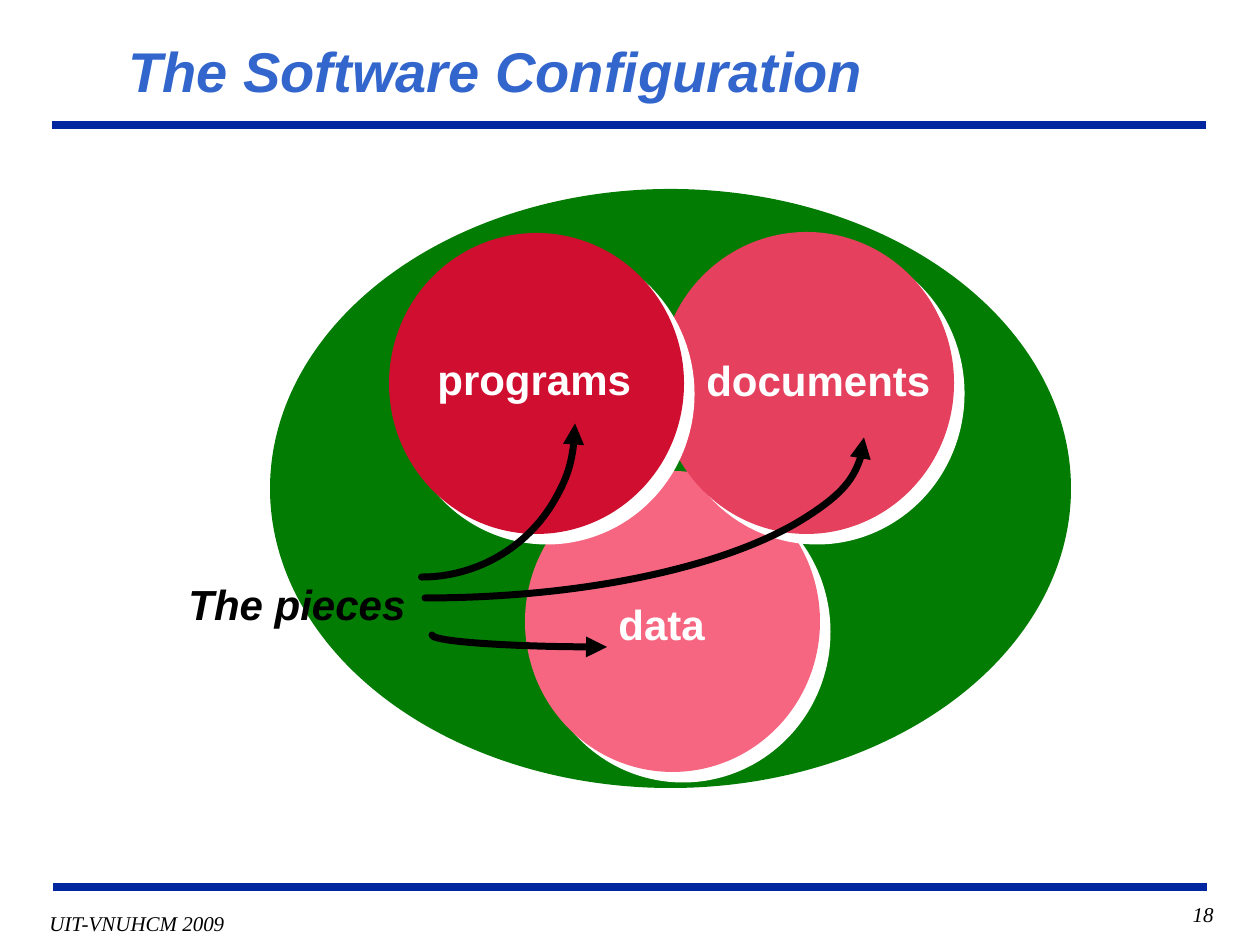
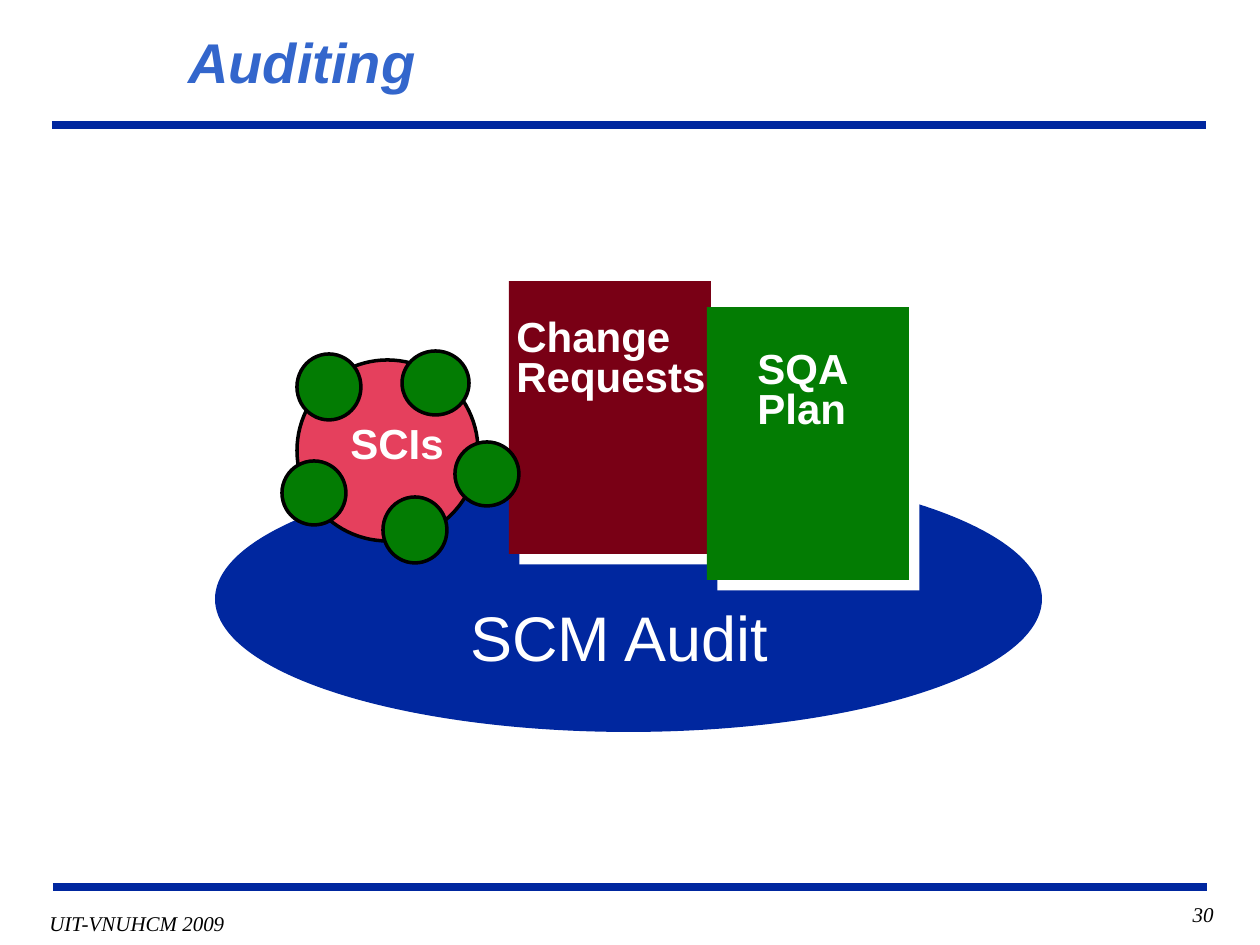
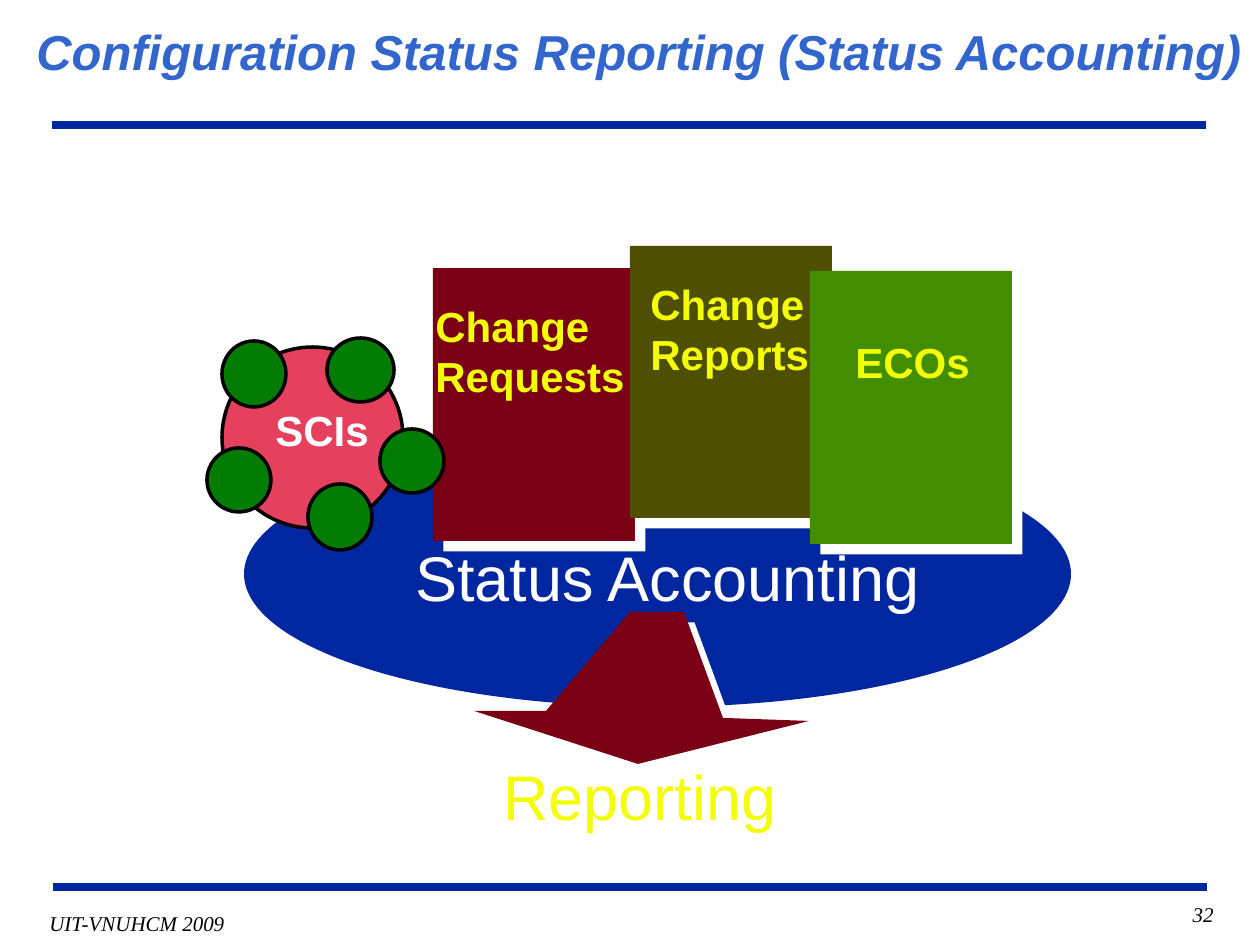
import pptx
import pptx.util
import pptx.dml.color
import pptx.enum.shapes
import pptx.enum.text
import pptx.oxml.ns
from lxml import etree

PX_PER_INCH = 126
EMU_PER_PX = 914400 / PX_PER_INCH

COLORS = {
    "white": "FFFFFF", "black": "000000", "navy": "00279F", "title": "3366CC",
    "green": "037C03", "leaf": "438E00", "olive": "4E4F00", "maroon": "790015",
    "red": "CF0E30", "rose": "E5405D", "pink": "F76681", "yellow": "F3FF07",
}

# Text styles: font, size, colour, bold, italic, line spacing
STYLES = {
    "title": ("Arial", 32, "title", True, True, None),
    "long title": ("Arial", 28, "title", True, True, None),
    "label": ("Arial", 24, "white", True, False, None),
    "tight label": ("Arial", 24, "white", True, False, 0.8),
    "yellow label": ("Arial", 24, "yellow", True, False, None),
    "pieces": ("Arial", 24, "black", True, True, None),
    "heading": ("Arial", 36, "white", False, False, None),
    "yellow heading": ("Arial", 36, "yellow", False, False, None),
    "footer": ("Times New Roman", 12, "black", False, True, None),
}

# Shared furniture
RULES = [(52, 125, 1206), (53, 887, 1207)]
FOOTER = ("UIT-VNUHCM 2009", (37, 906, 200, 37))
PAGE_BOX = (1068, 895, 158, 42)

# Configuration items around the SCIs disc, relative to its corner
DISC_SIZE = 181
DISC_LABEL = (41, 51, 124, 63)
ITEMS = [(86, 137, 64, 66), (158, 82, 64, 64), (105, -9, 67, 64),
         (0, -6, 64, 66), (-15, 101, 64, 64)]

# Parts of each slide from back to front
SLIDES = [
    {"page": 18, "title": ("The Software Configuration", "title", (116, 53, 1063, 35)),
     "parts": [
         ("oval", "green", (270, 189, 801, 599)),
         ("oval", "pink", (525, 471, 295, 301)),
         ("oval", "rose", (659, 232, 295, 302)),
         ("oval", "red", (389, 233, 295, 301)),
         ("text", "programs", "label", (425, 347, 221, 63)),
         ("text", "documents", "label", (694, 348, 251, 63)),
         ("text", "data", "label", (606, 592, 118, 63)),
         ("text", "The pieces", "pieces", (176, 572, 244, 63)),
         ("arrow", 90, (432, 623, 350, 24)),
         ("arrow", 0, (-14, 277, 878, 321)),
         ("arrow", 0, (268, 270, 307, 307)),
     ]},
    {"page": 30, "title": ("Auditing", "title", (176, 0, 892, 123)),
     "parts": [
         ("oval", "navy", (215, 466, 827, 266)),
         ("card", "maroon", (509, 281, 202, 273)),
         ("card", "green", (707, 307, 202, 273)),
         ("items", 297, 360),
         ("text", "Change\nRequests", "tight label", (504, 314, 216, 93)),
         ("text", "SQA\nPlan", "tight label", (745, 346, 120, 93)),
         ("text", "SCM Audit", "heading", (458, 592, 328, 88)),
     ]},
    {"page": 32,
     "title": ("Configuration Status Reporting (Status Accounting)", "long title",
               (24, 0, 1236, 101)),
     "parts": [
         ("oval", "navy", (244, 441, 827, 266)),
         ("card", "maroon", (433, 268, 202, 273)),
         ("card", "olive", (630, 246, 202, 272)),
         ("items", 222, 347),
         ("text", "Change\nRequests", "yellow label", (423, 294, 216, 113)),
         ("text", "Change\nReports", "yellow label", (638, 272, 192, 113)),
         ("card", "leaf", (810, 271, 202, 273)),
         ("text", "ECOs", "yellow label", (843, 330, 144, 63)),
         ("outline", "maroon", [(630, 612), (546, 711), (474, 711), (638, 764),
                                (809, 721), (723, 718), (684, 612)]),
         ("text", "Status Accounting", "heading", (403, 532, 535, 88)),
         ("text", "Reporting", "yellow heading", (491, 751, 301, 88)),
     ]},
]

SHAPE = pptx.enum.shapes.MSO_SHAPE
ALIGN = pptx.enum.text.PP_ALIGN


def px(*lengths):
    return [pptx.util.Emu(round(length * EMU_PER_PX)) for length in lengths]


def rgb(name):
    return pptx.dml.color.RGBColor.from_string(COLORS[name])


def add_child(parent, tag, **attributes):
    child = etree.SubElement(parent, pptx.oxml.ns.qn(tag))
    for key, value in attributes.items():
        child.set(key, str(value))
    return child


def set_line(line, color, width):
    line.color.rgb = rgb(color)
    line.width = pptx.util.Pt(width)


def cast_shadow(shape):
    """Hard white shadow, down and to the right."""
    shape.shadow.inherit = False
    effects = shape.element.spPr.find(pptx.oxml.ns.qn("a:effectLst"))
    shadow = add_child(effects, "a:outerShdw", dist=pptx.util.Pt(8.5),
                       dir=45 * 60000, algn="ctr", rotWithShape=0)
    add_child(shadow, "a:srgbClr", val=COLORS["white"])


def add_solid(slide, kind, color, box):
    shape = slide.shapes.add_shape(kind, *px(*box))
    shape.shadow.inherit = False
    shape.fill.solid()
    shape.fill.fore_color.rgb = rgb(color)
    shape.line.fill.background()
    return shape


def add_oval(slide, color, box):
    cast_shadow(add_solid(slide, SHAPE.OVAL, color, box))


def add_card(slide, color, box):
    cast_shadow(add_solid(slide, SHAPE.RECTANGLE, color, box))


def add_outline(slide, color, points):
    builder = slide.shapes.build_freeform(*points[0], scale=EMU_PER_PX)
    builder.add_line_segments(points[1:], close=True)
    shape = builder.convert_to_shape()
    shape.fill.solid()
    shape.fill.fore_color.rgb = rgb(color)
    shape.line.fill.background()
    cast_shadow(shape)


def add_arrow(slide, start, box):
    """Quarter of the ellipse in box, with its arrowhead at the start angle."""
    arc = slide.shapes.add_shape(SHAPE.ARC, *px(*box))
    arc.shadow.inherit = False
    for index, angle in enumerate((start, start + 90)):
        arc.adjustments[index] = angle * 0.6
    arc.fill.background()
    set_line(arc.line, "black", 4)
    stroke = arc.element.spPr.find(pptx.oxml.ns.qn("a:ln"))
    stroke.set("cap", "rnd")
    add_child(stroke, "a:headEnd", type="triangle")


def add_text(slide, text, style, box, wrap=False, align=ALIGN.LEFT, middle=False):
    font, size, color, bold, italic, spacing = STYLES[style]
    frame = slide.shapes.add_textbox(*px(*box)).text_frame
    frame.word_wrap = wrap
    if not wrap:
        frame.auto_size = pptx.enum.text.MSO_AUTO_SIZE.SHAPE_TO_FIT_TEXT
    if middle:
        frame.vertical_anchor = pptx.enum.text.MSO_ANCHOR.MIDDLE
    frame.text = text
    for paragraph in frame.paragraphs:
        paragraph.alignment = align
        if spacing:
            paragraph.line_spacing = spacing
        for run in paragraph.runs:
            run.font.name = font
            run.font.size = pptx.util.Pt(size)
            run.font.color.rgb = rgb(color)
            run.font.bold = bold
            run.font.italic = italic
    return frame


def add_items(slide, left, top):
    def place(x, y, width, height):
        return left + x, top + y, width, height

    disc = add_solid(slide, SHAPE.OVAL, "rose", place(0, 0, DISC_SIZE, DISC_SIZE))
    set_line(disc.line, "black", 2)
    add_text(slide, "SCIs", "label", place(*DISC_LABEL))
    for box in ITEMS:
        item = add_solid(slide, SHAPE.OVAL, "green", place(*box))
        set_line(item.line, "black", 2)


def add_furniture(slide, page):
    for left, y, right in RULES:
        rule = slide.shapes.add_connector(
            pptx.enum.shapes.MSO_CONNECTOR.STRAIGHT, *px(left, y, right, y))
        set_line(rule.line, "navy", 4.5)
        add_child(rule.element.spPr, "a:effectLst")
    text, box = FOOTER
    footer = add_text(slide, text, "footer", box, align=ALIGN.CENTER)
    footer.margin_left, footer.margin_right = px(11, 11)
    footer.margin_top, footer.margin_bottom = px(5, 5)
    add_text(slide, str(page), "footer", PAGE_BOX, wrap=True, align=ALIGN.RIGHT)


DRAW = {"oval": add_oval, "card": add_card, "outline": add_outline,
        "arrow": add_arrow, "text": add_text, "items": add_items}


def main():
    deck = pptx.Presentation()
    deck.slide_width = pptx.util.Inches(10)
    deck.slide_height = pptx.util.Inches(7.5)
    for content in SLIDES:
        slide = deck.slides.add_slide(deck.slide_layouts[6])
        add_furniture(slide, content["page"])
        add_text(slide, *content["title"], wrap=True, middle=True)
        for kind, *details in content["parts"]:
            DRAW[kind](slide, *details)
    deck.save("out.pptx")


if __name__ == "__main__":
    main()
